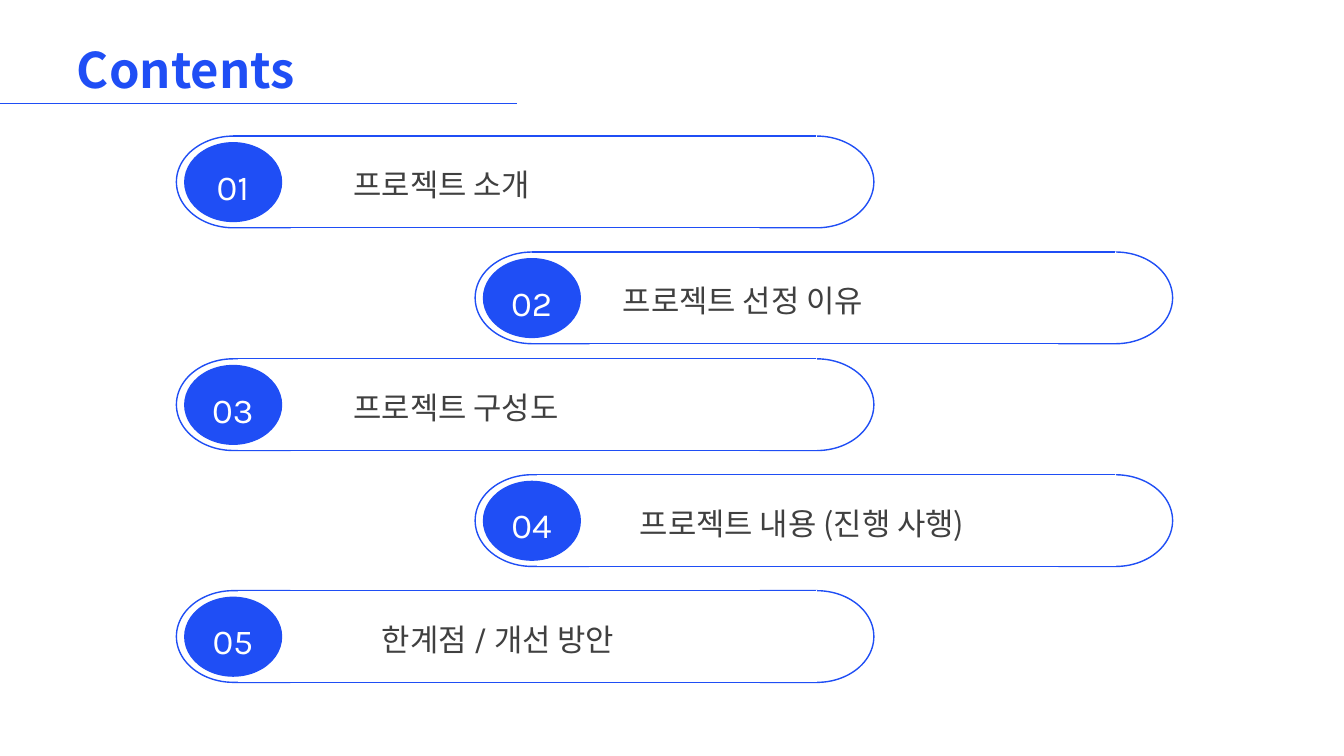
from lxml.etree import SubElement
from pptx import Presentation
from pptx.dml.color import RGBColor
from pptx.enum.shapes import MSO_CONNECTOR as CONNECTOR, MSO_SHAPE as SHAPE
from pptx.enum.text import MSO_ANCHOR as ANCHOR, MSO_AUTO_SIZE as AUTO_SIZE, PP_ALIGN as ALIGN
from pptx.oxml.ns import qn
from pptx.util import Pt

BLUE = RGBColor(0x1F, 0x4E, 0xF5)
WHITE = RGBColor(0xFF, 0xFF, 0xFF)
GRAY = RGBColor(0x40, 0x40, 0x40)
KARLA = "Karla"
NOTO = "Noto Sans CJK KR"

PILL_WIDTH, PILL_HEIGHT = 498.2, 65.5
LEFT_COLUMN, RIGHT_COLUMN = 126, 339.4
CHAPTERS = [
    (LEFT_COLUMN, 97.2, "프로젝트 소개", 119.5, NOTO),
    (RIGHT_COLUMN, 180, "프로젝트 선정 이유", 98.4, NOTO),
    (LEFT_COLUMN, 256.3, "프로젝트 구성도", 119.5, NOTO),
    (RIGHT_COLUMN, 339.1, "프로젝트 내용 (진행 사행)", 110.6, NOTO),
    (LEFT_COLUMN, 421.9, "한계점 / 개선 방안", 139.7, KARLA),
]


def add_text(slide, box, words, size, font_name, color, align=ALIGN.LEFT, bold=False):
    """Add one line of text in the box and return its frame."""
    frame = slide.shapes.add_textbox(*map(Pt, box)).text_frame
    frame.word_wrap = True
    frame.auto_size = AUTO_SIZE.SHAPE_TO_FIT_TEXT
    frame.text = words
    paragraph = frame.paragraphs[0]
    paragraph.alignment = align
    font = paragraph.runs[0].font
    font.size, font.bold, font.name = Pt(size), bold, font_name
    font.color.rgb = color
    SubElement(paragraph.runs[0]._r.rPr, qn("a:ea"), typeface=NOTO)
    return frame


def add_panel(slide, kind, box, fill, outline):
    """Add a filled preset shape with a one-point outline."""
    panel = slide.shapes.add_shape(kind, *map(Pt, box))
    panel.shadow.inherit = False
    panel.fill.solid()
    panel.fill.fore_color.rgb = fill
    panel.line.color.rgb = outline
    panel.line.width = Pt(1)
    return panel


def add_rule(slide, start, end, y, width):
    """Add a horizontal blue line."""
    rule = slide.shapes.add_connector(CONNECTOR.STRAIGHT, Pt(start), Pt(y), Pt(end), Pt(y))
    rule.line.color.rgb = BLUE
    rule.line.width = Pt(width)
    SubElement(rule._element.spPr, qn("a:effectLst"))


def add_heading(slide, left, top, width, height):
    """Add the slide heading with the rule below it."""
    add_rule(slide, 0, 369.4, top + height, 0.5)
    heading = add_text(slide, (left, top, width, height), "Contents", 35, NOTO, BLUE,
                       ALIGN.CENTER, bold=True)
    heading.vertical_anchor = ANCHOR.MIDDLE


def add_chapter(slide, left, top, width, height, number, title, title_indent, title_font):
    """Add a numbered pill with its chapter title."""
    cap = 81.4
    add_panel(slide, SHAPE.FLOWCHART_DELAY, (left + width - cap, top, cap, height), WHITE, BLUE)
    left_cap = add_panel(slide, SHAPE.FLOWCHART_DELAY, (left, top, cap, height), WHITE, BLUE)
    left_cap.rotation = 180
    add_panel(slide, SHAPE.RECTANGLE, (left + 44.6, top, 412.6, height), WHITE, WHITE)
    add_rule(slide, left + 40.3, left + 457.2, top, 1)
    add_rule(slide, left + 41.8, left + 459.4, top + height, 1)
    add_panel(slide, SHAPE.OVAL, (left + 6, top + 4.8, 69.1, 56.2), BLUE, BLUE)
    add_text(slide, (left - 71.3, top + 17.3, 223.2, 37.4), f"{number:02}", 25, KARLA, WHITE,
             ALIGN.CENTER)
    add_text(slide, (left + title_indent, top + 18, 350, 33.8), title, 22, title_font, GRAY)


def main():
    """Build the contents slide and save it."""
    deck = Presentation()
    deck.slide_width, deck.slide_height = Pt(960), Pt(540)
    slide = deck.slides.add_slide(deck.slide_layouts[6])
    add_heading(slide, -87.8, 24.5, 441.4, 49.7)
    for number, (left, top, title, indent, font_name) in enumerate(CHAPTERS, 1):
        add_chapter(slide, left, top, PILL_WIDTH, PILL_HEIGHT, number, title, indent, font_name)
    deck.save("out.pptx")


if __name__ == "__main__":
    main()
